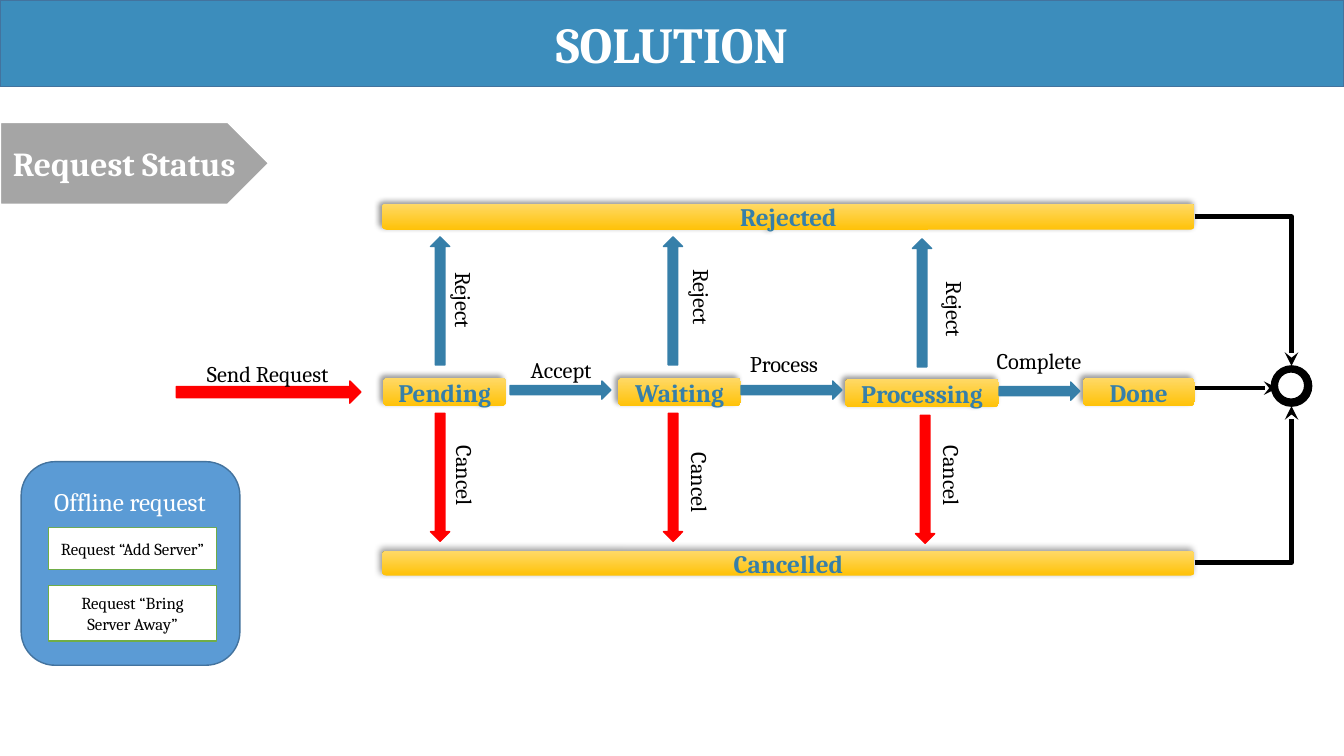
"""Build the request status flow slide."""
from lxml import etree
from pptx import Presentation
from pptx import util as u
from pptx.dml.color import RGBColor
from pptx.enum import shapes, text
from pptx.oxml import parse_xml
from pptx.oxml.ns import nsdecls, qn

FONT = "Cambria"
BLUE, RED, BLACK, WHITE = "367FA9", "FF0000", "000000", "FFFFFF"
KIND = shapes.MSO_SHAPE

deck = Presentation()
deck.slide_width, deck.slide_height = u.Inches(13.33), u.Inches(7.5)
slide = deck.slides.add_slide(deck.slide_layouts[6])


def write(shape, wording, size, color, bold=False):
    shape.text_frame.word_wrap = True
    paragraph = shape.text_frame.paragraphs[0]
    paragraph.text = wording
    paragraph.alignment = text.PP_ALIGN.CENTER
    paragraph.font.name = FONT
    paragraph.font.size = u.Pt(size)
    paragraph.font.bold = bold
    paragraph.font.color.rgb = RGBColor.from_string(color)
    return paragraph


def block(kind, place, fill, line=None, weight=1):
    shape = slide.shapes.add_shape(kind, *map(u.Inches, place))
    shape.shadow.inherit = False
    shape.fill.solid()
    shape.fill.fore_color.rgb = RGBColor.from_string(fill)
    if line:
        shape.line.color.rgb = RGBColor.from_string(line)
        shape.line.width = u.Pt(weight)
    else:
        shape.line.fill.background()
    shape.text_frame.vertical_anchor = text.MSO_ANCHOR.MIDDLE
    return shape


title = block(KIND.RECTANGLE, (0, 0, 13.33, 0.86), "3C8DBC", "43739E")
write(title, "SOLUTION", 36, WHITE, True)

block(KIND.ROUNDED_RECTANGLE, (0.21, 4.58, 2.17, 2.02), "5B9BD5", "43739E")
for request, top, height in (("Request “Add Server”", 5.23, 0.42),
                             ("Request “Bring Server Away”", 5.81, 0.55)):
    card = block(KIND.RECTANGLE, (0.48, top, 1.67, height), WHITE, "70AD47")
    write(card, request, 12, BLACK)
offline = block(KIND.RECTANGLE, (0.32, 4.71, 1.94, 0.52), "5B9BD5")
write(offline, "Offline request", 18, WHITE)

statuses = (
    ("Pending", 3.8, 3.75, 1.22, 0.28),
    ("Waiting", 6.13, 3.75, 1.22, 0.28),
    ("Cancelled", 3.79, 5.47, 8.06, 0.24),
    ("Rejected", 3.79, 2.02, 8.06, 0.26),
    ("Processing", 8.38, 3.76, 1.53, 0.28),
    ("Done", 10.74, 3.75, 1.11, 0.28),
)
for status, *place in statuses:
    state = block(KIND.ROUNDED_RECTANGLE, place, "FFC208")
    state.fill.gradient()
    state.fill.gradient_angle = 90
    for stop, color in zip(state.fill.gradient_stops, ("FFC208", "FFD966")):
        stop.color.rgb = RGBColor.from_string(color)
    effects = state._element.spPr.find(qn("a:effectLst"))
    effects.append(parse_xml(
        f'<a:outerShdw {nsdecls("a")} blurRad="50800" dist="38100" dir="13500000" '
        'algn="br" rotWithShape="0"><a:srgbClr val="000000"><a:alpha val="40000"/>'
        '</a:srgbClr></a:outerShdw>'))
    write(state, status, 18, BLUE, True)

steps = (
    (1.75, 3.78, 1.83, 0.22, RED, 0),
    (5.06, 3.78, 1, 0.18, BLUE, 0),
    (7.35, 3.78, 1, 0.18, BLUE, 0),
    (9.91, 3.79, 0.8, 0.18, BLUE, 0),
    (3.73, 2.89, 1.27, 0.19, BLUE, 270),
    (6.04, 2.89, 1.27, 0.19, BLUE, 270),
    (8.51, 2.91, 1.27, 0.19, BLUE, 270),
    (3.73, 4.64, 1.27, 0.19, RED, 90),
    (6.04, 4.64, 1.27, 0.19, RED, 90),
    (8.54, 4.66, 1.27, 0.19, RED, 90),
)
for *place, color, turn in steps:
    block(KIND.RIGHT_ARROW, place, color, color).rotation = turn

actions = (
    ("Send Request", 1.82, 3.55, 0),
    ("Accept", 4.73, 3.51, 0),
    ("Process", 6.94, 3.46, 0),
    ("Complete", 9.47, 3.43, 0),
    ("Reject", 3.74, 2.8, 90),
    ("Reject", 6.1, 2.77, 90),
    ("Reject", 8.61, 2.89, 90),
    ("Cancel", 3.75, 4.54, 90),
    ("Cancel", 6.08, 4.61, 90),
    ("Cancel", 8.58, 4.54, 90),
)
for action, left, top, turn in actions:
    label = slide.shapes.add_textbox(*map(u.Inches, (left, top, 1.67, 0.36)))
    label.rotation = turn
    write(label, action, 16, BLACK).line_spacing = 0.9

block(KIND.OVAL, (12.61, 3.63, 0.4, 0.4), BLACK, BLACK)
block(KIND.OVAL, (12.67, 3.69, 0.27, 0.27), WHITE, BLACK)

endings = (
    ("bentConnector2", 11.85, 2.15, 12.81, 3.63),
    ("bentConnector2", 11.85, 5.58, 12.81, 4.03),
    ("straightConnector1", 11.85, 3.85, 12.67, 3.85),
)
for route, *ends in endings:
    ending = slide.shapes.add_connector(shapes.MSO_CONNECTOR.ELBOW, *map(u.Inches, ends))
    ending.line.color.rgb = RGBColor.from_string(BLACK)
    ending.line.width = u.Pt(3.25)
    properties = ending._element.spPr
    properties.find(qn("a:prstGeom")).set("prst", route)
    etree.SubElement(properties.find(qn("a:ln")), qn("a:tailEnd"), type="stealth")
    etree.SubElement(properties, qn("a:effectLst"))

section = block(KIND.PENTAGON, (0, 1.21, 2.67, 0.82), "A5A5A5", WHITE, 1.5)
write(section, "Request Status", 24, WHITE, True)

deck.save("out.pptx")
